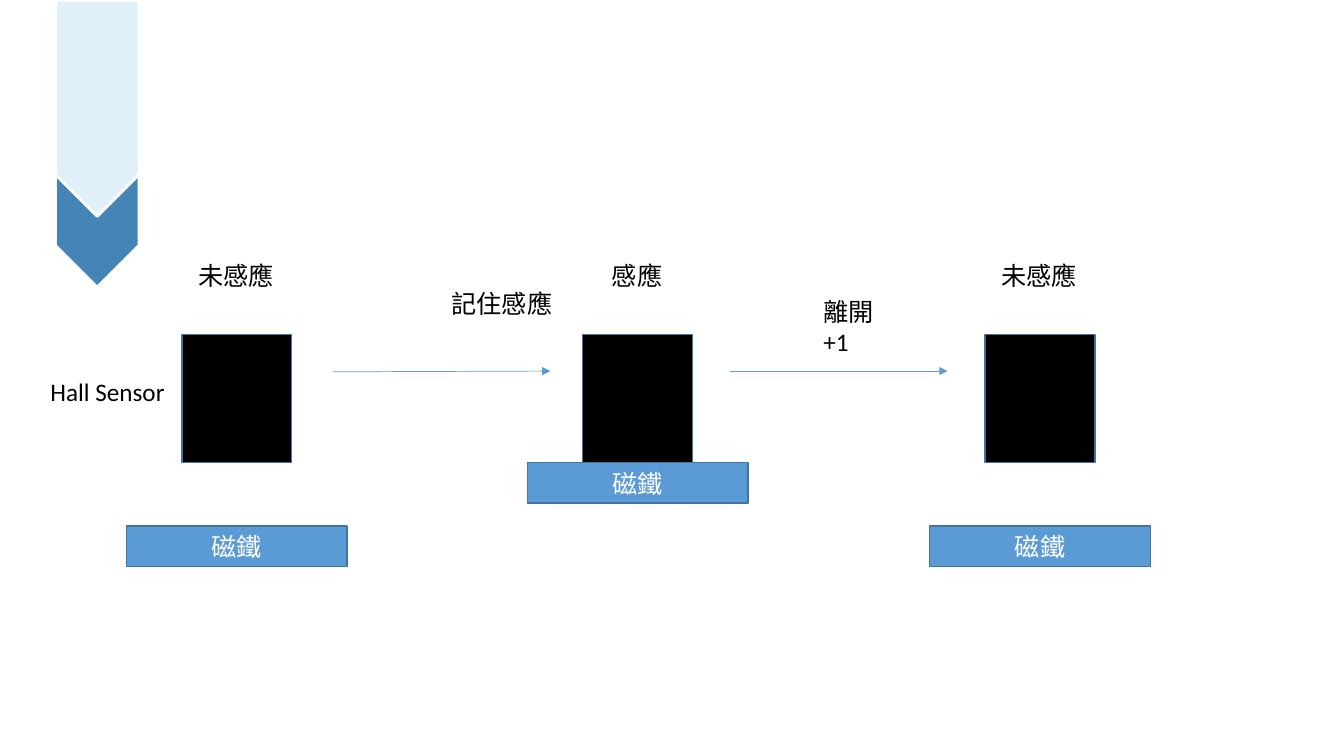
from lxml.etree import SubElement
from pptx import Presentation
from pptx.dml.color import RGBColor
from pptx.enum.shapes import MSO_CONNECTOR as Link, MSO_SHAPE as Kind
from pptx.enum.text import MSO_ANCHOR as Anchor, PP_ALIGN as Align
from pptx.oxml.ns import qn
from pptx.util import Cm, Pt

# Content: centre, sensor state, label width, magnet top
STAGES = [
    (5.97, "未感應", 2.44, 13.26),
    (16.07, "感應", 1.8, 11.66),
    (26.21, "未感應", 2.44, 13.26),
]
# Text, left, top, width, wrap
NOTES = [
    ("記住感應", 11.13, 7.14, 3.07, False),
    ("離開 +1", 20.5, 7.34, 2.4, True),
    ("Hall Sensor", 1.02, 9.37, 3.43, False),
]
# Start x, start y, end x, end y
ARROWS = [(18.39, 9.35, 23.88, 9.35), (8.38, 9.37, 13.87, 9.35)]
# Ribbon length, centre y, fill
RIBBON = [(4.75, 4.87, "4584B7"), (5.44, 2.73, "DFF0F9")]
RIB_X, RIB_W = 2.45, 2.11
SENSOR_W, SENSOR_H, SENSOR_TOP = 2.77, 3.23, 8.43
MAGNET_W, MAGNET_H = 5.56, 1.02
LABEL_TOP, LABEL_H = 6.43, 1.02
FONT = {"name": "Calibri", "size": Pt(18)}


def tint(code):
    return RGBColor.from_string(code)


def style(para, color):
    for key, value in FONT.items():
        setattr(para.font, key, value)
    para.font.color.rgb = tint(color)


def block(kind, mid_x, top, width, height, fill, edge="43739E", weight=1):
    shape = slide.shapes.add_shape(
        kind, Cm(mid_x - width / 2), Cm(top), Cm(width), Cm(height))
    shape.shadow.inherit = False
    shape.fill.solid()
    shape.fill.fore_color.rgb = tint(fill)
    shape.line.color.rgb = tint(edge)
    shape.line.width = Pt(weight)
    return shape


def label(text, left, top, width, wrap=False):
    box = slide.shapes.add_textbox(Cm(left), Cm(top), Cm(width), Cm(LABEL_H))
    box.text_frame.word_wrap = wrap
    box.text_frame.text = text
    style(box.text_frame.paragraphs[0], "000000")


def arrow(*ends):
    line = slide.shapes.add_connector(Link.STRAIGHT, *map(Cm, ends))
    line.line.color.rgb = tint("5B9BD5")
    line.line.width = Pt(0.5)
    props = line.element.spPr
    SubElement(props.find(qn("a:ln")), qn("a:tailEnd"), type="triangle")
    SubElement(props, qn("a:effectLst"))


deck = Presentation()
deck.slide_width, deck.slide_height = Cm(33.87), Cm(19.05)
slide = deck.slides.add_slide(deck.slide_layouts[6])

# Ribbon in the corner
for size, mid_y, fill in RIBBON:
    strip = block(Kind.PENTAGON, RIB_X, mid_y - RIB_W / 2, size, RIB_W,
                  fill, "FFFFFF", 2.25)
    strip.rotation = 90

# Sensor, magnet and state for each stage
for mid, state, width, top in STAGES:
    block(Kind.RECTANGLE, mid, SENSOR_TOP, SENSOR_W, SENSOR_H, "000000")
    magnet = block(Kind.RECTANGLE, mid, top, MAGNET_W, MAGNET_H, "5B9BD5")
    frame = magnet.text_frame
    frame.text = "磁鐵"
    frame.vertical_anchor = Anchor.MIDDLE
    frame.paragraphs[0].alignment = Align.CENTER
    style(frame.paragraphs[0], "FFFFFF")
    label(state, mid - width / 2, LABEL_TOP, width)

# Steps between stages
for ends in ARROWS:
    arrow(*ends)
for note in NOTES:
    label(*note)

deck.save("out.pptx")
